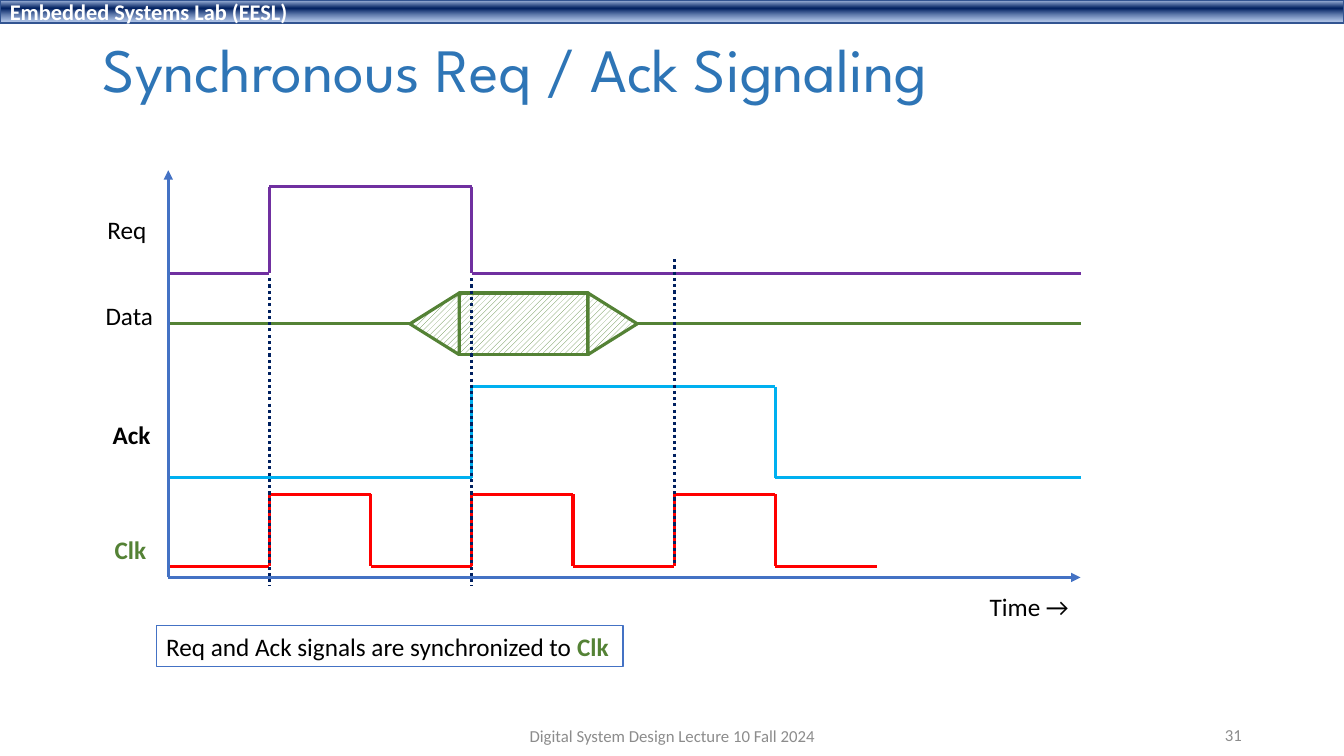
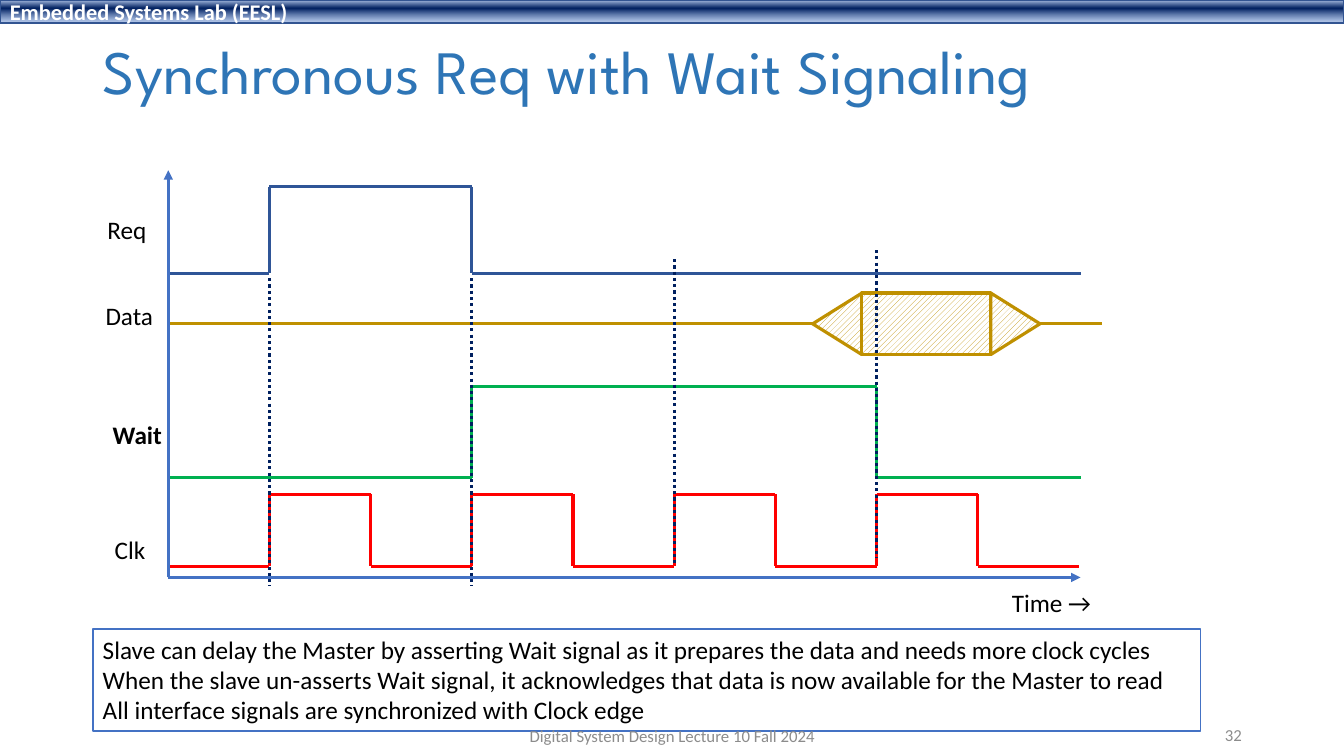
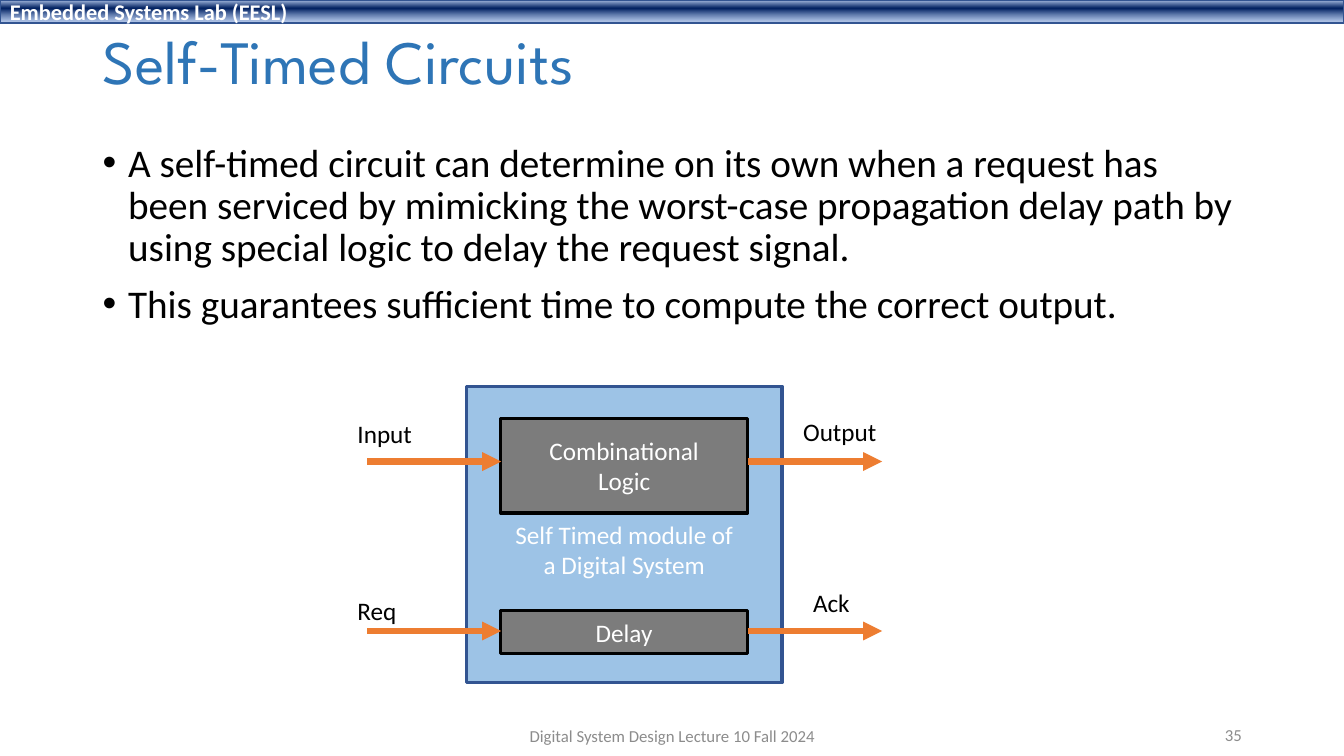
import dataclasses
import itertools

import lxml.etree
import pptx
import pptx.dml.color
import pptx.enum.dml
import pptx.enum.shapes
import pptx.enum.text
import pptx.oxml
import pptx.oxml.ns
import pptx.util

Cm = pptx.util.Cm
qn = pptx.oxml.ns.qn
color = pptx.dml.color.RGBColor.from_string
SHAPE = pptx.enum.shapes.MSO_SHAPE
ALIGN = pptx.enum.text.PP_ALIGN
ANCHOR = pptx.enum.text.MSO_ANCHOR


@dataclasses.dataclass(frozen=True)
class Theme:
    text_font: str = "Calibri"
    title_font: str = "League Spartan"
    title_size: int = 44
    body_size: int = 28
    label_size: int = 18
    band_size: int = 16
    footer_size: int = 12
    line_width: float = 2.25
    arrow_width: float = 4.5
    black: str = "000000"
    white: str = "FFFFFF"
    title: str = "2E75B6"
    footer: str = "8C8C8C"
    border: str = "325491"
    axis: str = "4472C4"
    guide: str = "002060"
    clock: str = "FF0000"
    green: str = "548235"
    gold: str = "BF9000"
    module: str = "9DC3E6"
    block: str = "7C7C7C"
    arrow: str = "ED7D31"


theme = Theme()

BAND_GRADIENT = f"""
<a:gradFill xmlns:a="http://schemas.openxmlformats.org/drawingml/2006/main" rotWithShape="1">
  <a:gsLst>
    <a:gs pos="2000"><a:srgbClr val="ABC0E4"/></a:gs>
    <a:gs pos="38000"><a:srgbClr val="{theme.guide}"/></a:gs>
    <a:gs pos="93000"><a:srgbClr val="7E9ED6"><a:alpha val="64000"/></a:srgbClr></a:gs>
  </a:gsLst>
  <a:lin ang="5400000" scaled="0"/>
</a:gradFill>"""


def write(page, text, place, size=theme.label_size, font=theme.text_font, ink=theme.black,
          bold=False, align=ALIGN.LEFT, anchor=ANCHOR.TOP, wrap=True, spacing=None,
          bullet=False, fill=None, outline=None, outline_width=1, top_margin=0.13, accent=""):
    """Add a text box, or a rectangle if it has a fill; accent is a bold green ending."""
    place = [Cm(length) for length in place]
    if fill:
        box = page.shapes.add_shape(SHAPE.RECTANGLE, *place)
        box.shadow.inherit = False
        box.fill.solid()
        box.fill.fore_color.rgb = color(fill)
        box.line.color.rgb = color(outline)
        box.line.width = pptx.util.Pt(outline_width)
    else:
        box = page.shapes.add_textbox(*place)
    frame = box.text_frame
    frame.word_wrap = wrap
    frame.vertical_anchor = anchor
    frame.margin_top = Cm(top_margin)
    for index, words in enumerate(text.split("\n")):
        para = frame.add_paragraph() if index else frame.paragraphs[0]
        para.alignment = align
        if spacing:
            para.line_spacing = spacing
        if bullet:
            properties = para._p.get_or_add_pPr()
            properties.set("marL", str(Cm(0.64)))
            properties.set("indent", str(-Cm(0.64)))
            if index:
                para.space_before = pptx.util.Pt(10)
            lxml.etree.SubElement(properties, qn("a:buFont")).set("typeface", "Arial")
            lxml.etree.SubElement(properties, qn("a:buChar")).set("char", "•")
        para.add_run().text = words
        if accent:
            para.add_run().text = accent
        for position, span in enumerate(para.runs):
            span.font.name = font
            span.font.size = pptx.util.Pt(size)
            span.font.bold = bold or position > 0
            span.font.color.rgb = color(theme.green if position else ink)
    return box


def draw_line(page, start, end, ink, width=theme.line_width, dotted=False, arrow=False):
    ends = [Cm(length) for length in (*start, *end)]
    line = page.shapes.add_connector(pptx.enum.shapes.MSO_CONNECTOR.STRAIGHT, *ends)
    line.line.color.rgb = color(ink)
    line.line.width = pptx.util.Pt(width)
    if dotted:
        line.line.dash_style = pptx.enum.dml.MSO_LINE.ROUND_DOT
    properties = line.element.spPr
    if arrow:
        lxml.etree.SubElement(properties.find(qn("a:ln")), qn("a:tailEnd")).set("type", "triangle")
    lxml.etree.SubElement(properties, qn("a:effectLst"))


deck = pptx.Presentation()
deck.slide_width = Cm(33.87)
deck.slide_height = Cm(19.05)

# Pages with band and title
headings = [
    ("Synchronous Req / Ack Signaling", 2.87),
    ("Synchronous Req with Wait Signaling", 2.97),
    ("Self-Timed Circuits", 2.51),
]
for title, title_height in headings:
    page = deck.slides.add_slide(deck.slide_layouts[6])
    band = write(page, "Embedded Systems Lab (EESL)", (0, 0, 33.87, 0.58), size=theme.band_size,
                 ink=theme.white, bold=True, anchor=ANCHOR.MIDDLE, fill=theme.guide,
                 outline=theme.border)
    solid = band.element.spPr.find(qn("a:solidFill"))
    band.element.spPr.replace(solid, pptx.oxml.parse_xml(BAND_GRADIENT))
    write(page, title, (2.34, 0.38, 29.21, title_height), size=theme.title_size,
          font=theme.title_font, ink=theme.title, anchor=ANCHOR.MIDDLE, spacing=0.9)

# Timing diagrams: signal edges fall on half periods of the clock
AXIS_LEFT, AXIS_RIGHT, AXIS_TOP, AXIS_BOTTOM = 4.24, 27.23, 4.29, 14.55
HALF_PERIOD = 2.55
DATA_MIDDLE, DATA_HEIGHT, DATA_WIDTH, TIP_WIDTH = 8.16, 1.55, 3.25, 1.24
ticks = [AXIS_LEFT + HALF_PERIOD * count for count in range(10)]

diagrams = [
    dict(
        clock_edges=6, reply="Ack", reply_ink="00B0F0", reply_end=6, req_ink="7030A0",
        data_ink=theme.green, data_left=11.57, data_end=AXIS_RIGHT, time_at=(24.69, 14.76),
        guides=[(1, 7.01, 14.76), (3, 7.01, 14.76), (5, 6.53, 14.25)],
        clock_label=dict(ink=theme.green, bold=True),
        note="Req and Ack signals are synchronized to ", accent="Clk",
        note_place=(3.94, 15.77, 11.76, 1.02),
    ),
    dict(
        clock_edges=8, reply="Wait", reply_ink="00B050", reply_end=7, req_ink="2F5597",
        data_ink=theme.gold, data_left=21.72, data_end=27.76, time_at=(25.25, 14.68),
        guides=[(1, 7.01, 14.76), (3, 7.01, 14.76), (5, 6.53, 14.25), (7, 6.3, 14.05)],
        clock_label={},
        note="Slave can delay the Master by asserting Wait signal as it prepares the data and "
             "needs more clock cycles\n"
             "When the slave un-asserts Wait signal, it acknowledges that data is now available "
             "for the Master to read\n"
             "All interface signals are synchronized with Clock edge", accent="",
        note_place=(2.34, 15.85, 27.91, 2.57),
    ),
]
for page, diagram in zip(deck.slides, diagrams):
    last_edge = diagram["clock_edges"]
    signals = [
        (theme.clock, 14.27, 12.45, ticks[1:last_edge + 1], ticks[last_edge + 1]),
        (diagram["reply_ink"], 12.04, 9.75, [ticks[3], ticks[diagram["reply_end"]]], AXIS_RIGHT),
        (diagram["req_ink"], 6.89, 4.7, [ticks[1], ticks[3]], AXIS_RIGHT),
    ]
    for ink, low, high, edges, end in signals:
        points = []
        for index, (left, right) in enumerate(itertools.pairwise([AXIS_LEFT, *edges, end])):
            level = high if index % 2 else low
            points += [(left, level), (right, level)]
        for start, finish in itertools.pairwise(points):
            draw_line(page, start, finish, ink)

    # Data line with its hatched valid window
    data_ink, data_left = diagram["data_ink"], diagram["data_left"]
    data_right = data_left + DATA_WIDTH
    draw_line(page, (AXIS_LEFT, DATA_MIDDLE), (data_left - TIP_WIDTH, DATA_MIDDLE), data_ink)
    draw_line(page, (data_right + TIP_WIDTH, DATA_MIDDLE), (diagram["data_end"], DATA_MIDDLE),
              data_ink)
    window_parts = [
        (SHAPE.ISOSCELES_TRIANGLE, data_left - TIP_WIDTH / 2, DATA_HEIGHT, TIP_WIDTH, 270),
        (SHAPE.RECTANGLE, data_left + DATA_WIDTH / 2, DATA_WIDTH, DATA_HEIGHT, 0),
        (SHAPE.ISOSCELES_TRIANGLE, data_right + TIP_WIDTH / 2, DATA_HEIGHT, TIP_WIDTH, 90),
    ]
    for kind, center, width, height, rotation in window_parts:
        part = page.shapes.add_shape(kind, Cm(center - width / 2), Cm(DATA_MIDDLE - height / 2),
                                     Cm(width), Cm(height))
        part.rotation = rotation
        part.shadow.inherit = False
        part.fill.patterned()
        part.fill.pattern = pptx.enum.dml.MSO_PATTERN.WIDE_UPWARD_DIAGONAL
        part.fill.fore_color.rgb = color(data_ink)
        part.fill.back_color.rgb = color(theme.white)
        part.line.color.rgb = color(data_ink)
        part.line.width = pptx.util.Pt(theme.line_width)

    for tick, top, bottom in diagram["guides"]:
        draw_line(page, (ticks[tick], top), (ticks[tick], bottom), theme.guide, dotted=True)
    for tip in [(AXIS_LEFT, AXIS_TOP), (AXIS_RIGHT, AXIS_BOTTOM)]:
        draw_line(page, (AXIS_LEFT, AXIS_BOTTOM), tip, theme.axis, arrow=True)

    labels = [
        ("Time →", *diagram["time_at"], 2.54, {}),
        ("Req", 2.46, 5.28, 1.5, {}),
        ("Data", 2.41, 7.44, 1.73, {}),
        (diagram["reply"], 2.59, 10.44, 1.47 if diagram["reply"] == "Ack" else 1.78,
         dict(bold=True)),
        ("Clk", 2.64, 13.34, 1.32, diagram["clock_label"]),
    ]
    for text, left, top, width, style in labels:
        write(page, text, (left, top, width, 1.02), wrap=False, **style)
    write(page, diagram["note"], diagram["note_place"], wrap=False, fill=theme.white,
          outline=theme.axis, accent=diagram["accent"])

# Self-timed module
page = deck.slides[2]
write(page,
      "A self-timed circuit can determine on its own when a request has been serviced by "
      "mimicking the worst-case propagation delay path by using special logic to delay the "
      "request signal.\n"
      "This guarantees sufficient time to compute the correct output.",
      (2.34, 3.48, 29.21, 5.13), size=theme.body_size, spacing=0.9, bullet=True)

blocks = [
    ("Self Timed module of\na Digital System", (11.76, 9.73, 7.95, 7.47), theme.module,
     theme.border, 0.9),
    ("Combinational\nLogic", (12.62, 10.54, 6.22, 2.39), theme.block, theme.black, 0.13),
    ("Delay", (12.62, 15.39, 6.22, 1.07), theme.block, theme.black, 0.13),
]
for text, place, fill, outline, top_margin in blocks:
    write(page, text, place, ink=theme.white, align=ALIGN.CENTER, anchor=ANCHOR.MIDDLE, fill=fill,
          outline=outline, outline_width=theme.line_width, top_margin=top_margin)

for level in (11.63, 15.9):
    for left in (9.25, 18.85):
        draw_line(page, (left, level), (left + 3.38, level), theme.arrow,
                  width=theme.arrow_width, arrow=True)

ports = [("Input", 8.76, 10.41, 1.9), ("Req", 8.76, 14.88, 1.5),
         ("Output", 19.99, 10.36, 2.39), ("Ack", 20.24, 14.66, 1.45)]
for text, left, top, width in ports:
    write(page, text, (left, top, width, 1.02), wrap=False)

# Footers lie above the notes
for page, number in zip(deck.slides, ("31", "32", "35")):
    footers = [
        ("Digital System Design Lecture 10 Fall 2024", 11.23, 18.03, 11.43, ALIGN.CENTER),
        (number, 23.93, 18.01, 7.62, ALIGN.RIGHT),
    ]
    for text, left, top, width, align in footers:
        write(page, text, (left, top, width, 1.02), size=theme.footer_size, ink=theme.footer,
              align=align, anchor=ANCHOR.MIDDLE)

deck.save("out.pptx")
